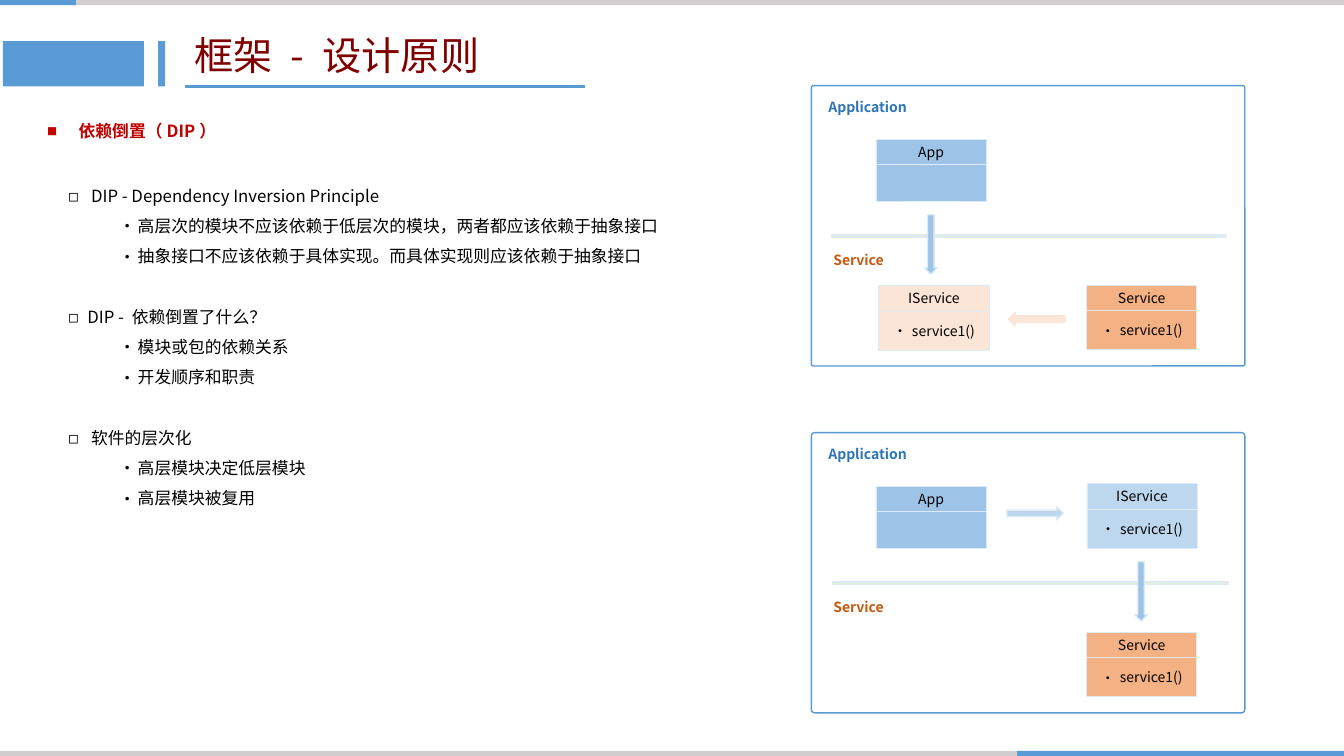
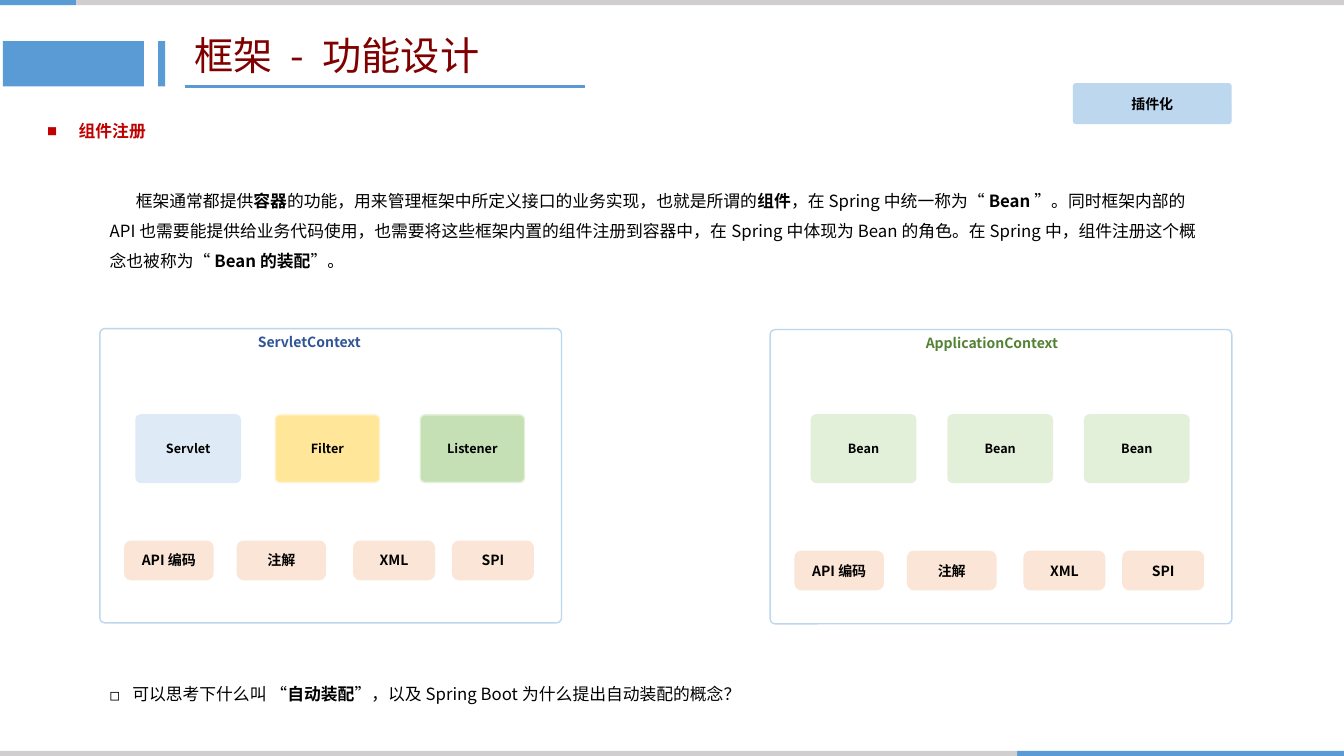
from lxml.etree import SubElement
from pptx import Presentation
from pptx.dml.color import RGBColor
from pptx.enum.shapes import MSO_CONNECTOR, MSO_SHAPE
from pptx.enum.text import MSO_ANCHOR, PP_ALIGN
from pptx.oxml.ns import qn
from pptx.util import Pt

FONT = "Noto Sans CJK SC"

BLACK = RGBColor(0x00, 0x00, 0x00)
WHITE = RGBColor(0xFF, 0xFF, 0xFF)
GREY = RGBColor(0xD0, 0xCE, 0xCE)
MAROON = RGBColor(0x80, 0x00, 0x00)
RED = RGBColor(0xC0, 0x00, 0x00)
BLUE = RGBColor(0x5B, 0x9B, 0xD5)
MID_BLUE = RGBColor(0x9D, 0xC3, 0xE6)
LIGHT_BLUE = RGBColor(0xBD, 0xD7, 0xEE)
PALE_BLUE = RGBColor(0xDE, 0xEB, 0xF7)
DEEP_BLUE = RGBColor(0x2E, 0x75, 0xB6)
NAVY = RGBColor(0x2F, 0x55, 0x97)
ORANGE = RGBColor(0xF4, 0xB1, 0x83)
PALE_ORANGE = RGBColor(0xFB, 0xE5, 0xD6)
DEEP_ORANGE = RGBColor(0xC5, 0x5A, 0x11)
YELLOW = RGBColor(0xFF, 0xE6, 0x99)
PALE_YELLOW = RGBColor(0xFF, 0xF2, 0xCC)
GREEN = RGBColor(0xC5, 0xE0, 0xB4)
PALE_GREEN = RGBColor(0xE2, 0xF0, 0xD9)
DEEP_GREEN = RGBColor(0x54, 0x82, 0x35)

# Bullet character: size in percent of the text
BULLET_SIZES = {"■": 60, "◻": 100, "•": 100}
LINE_SPACING = 1.5
BLANK_LINE = 21.6


# Text
def add_run(paragraph, text, size, color=BLACK, bold=False):
    run = paragraph.add_run()
    run.text = text
    run.font.size = Pt(size)
    run.font.bold = bold
    run.font.color.rgb = color
    run.font.name = FONT
    SubElement(run.font._element, qn("a:ea"), typeface=FONT)


def set_indent(paragraph, margin, first_line):
    properties = paragraph._p.get_or_add_pPr()
    properties.set("marL", str(Pt(margin)))
    properties.set("indent", str(Pt(first_line)))
    return properties


def set_bullet(paragraph, char, margin, hanging):
    properties = set_indent(paragraph, margin, -hanging)
    SubElement(properties, qn("a:buSzPct"), val=str(BULLET_SIZES[char] * 1000))
    SubElement(properties, qn("a:buFont"), typeface=FONT)
    SubElement(properties, qn("a:buChar"), char=char)


def add_text(slide, left, top, width, height):
    box = slide.shapes.add_textbox(Pt(left), Pt(top), Pt(width), Pt(height))
    box.text_frame.word_wrap = True
    return box.text_frame


def add_label(slide, text, left, top, width, color):
    frame = add_text(slide, left, top, width, 19.4)
    add_run(frame.paragraphs[0], text, 10, color, True)


def add_mixed_runs(paragraph, parts):
    """Every second part is bold."""
    for index, part in enumerate(parts):
        add_run(paragraph, part, 12, bold=index % 2 == 1)


# Shapes
def add_block(slide, preset, left, top, width, height, fill,
              line=None, line_width=1, corner=None):
    block = slide.shapes.add_shape(preset, Pt(left), Pt(top), Pt(width), Pt(height))
    block.shadow.inherit = False
    block.fill.solid()
    block.fill.fore_color.rgb = fill
    if line is None:
        block.line.fill.background()
    else:
        block.line.color.rgb = line
        block.line.width = Pt(line_width)
    if corner is not None:
        block.adjustments[0] = corner
    return block


def add_centred(block, text, size, bold=False):
    block.text_frame.vertical_anchor = MSO_ANCHOR.MIDDLE
    paragraph = block.text_frame.paragraphs[0]
    paragraph.alignment = PP_ALIGN.CENTER
    add_run(paragraph, text, size, bold=bold)
    return paragraph


def add_card(slide, text, left, top, width, height, fill, line, size=10, corner=0.07):
    card = add_block(slide, MSO_SHAPE.ROUNDED_RECTANGLE, left, top, width, height,
                     fill, line, corner=corner)
    add_centred(card, text, size, True)


# Bands, title and section heading of every slide
def add_frame(slide, title, heading):
    bands = [
        (726.5, 536.4, 233.5, 3.6, BLUE),
        (0, 536.4, 726.5, 3.6, GREY),
        (0, 0, 54.5, 3.6, BLUE),
        (54.5, 0, 905.5, 3.6, GREY),
        (113, 29.3, 5, 32.4, BLUE),
        (2, 29.3, 100.8, 32.4, BLUE),
    ]
    for *place, color in bands:
        add_block(slide, MSO_SHAPE.RECTANGLE, *place, color)

    title_frame = add_text(slide, 131.8, 20.2, 293, 41.8)
    title_frame.vertical_anchor = MSO_ANCHOR.MIDDLE
    title_frame.paragraphs[0].line_spacing = 0.9
    add_run(title_frame.paragraphs[0], title, 28, MAROON)

    underline = slide.shapes.add_connector(
        MSO_CONNECTOR.STRAIGHT, Pt(132), Pt(61.9), Pt(417.6), Pt(61.9))
    underline.line.color.rgb = BLUE
    underline.line.width = Pt(2.25)
    SubElement(underline._element.spPr, qn("a:effectLst"))

    paragraph = add_text(slide, 26.6, 75.6, 171.4, 28.8).paragraphs[0]
    paragraph.line_spacing = LINE_SPACING
    set_bullet(paragraph, "■", 22.5, 22.5)
    add_run(paragraph, heading, 12, RED, True)


def add_outline(slide, groups):
    frame = add_text(slide, 41.8, 121.7, 454.3, 247)
    paragraph = frame.paragraphs[0]
    for index, (topic, points) in enumerate(groups):
        if index:
            paragraph = frame.add_paragraph()
            paragraph.space_before = Pt(BLANK_LINE)
        paragraph.line_spacing = LINE_SPACING
        set_bullet(paragraph, "◻", 13.5, 13.5)
        add_run(paragraph, topic, 12)
        for point in points:
            paragraph = frame.add_paragraph()
            paragraph.level = 1
            paragraph.line_spacing = LINE_SPACING
            set_bullet(paragraph, "•", 49.5, 13.5)
            add_run(paragraph, point, 12)


# Class diagram
def add_class(slide, name, left, top, fill, method=None):
    head_height, body_height = 18.2, 28 if method else 26
    head = add_block(slide, MSO_SHAPE.RECTANGLE, left, top, 78.7, head_height,
                     fill, PALE_BLUE, 0.5)
    add_centred(head, name, 10)
    body = add_block(slide, MSO_SHAPE.RECTANGLE, left, top + head_height, 78.7,
                     body_height, fill, PALE_BLUE, 0.5)
    if method:
        set_bullet(add_centred(body, method, 10), "•", 13.5, 13.5)


def add_layers(slide, top, corner, divider_left):
    add_block(slide, MSO_SHAPE.ROUNDED_RECTANGLE, 579.6, top, 309.6, 200.2,
              WHITE, BLUE, corner=corner)
    add_block(slide, MSO_SHAPE.MATH_MINUS, divider_left, top + 104, 383.8, 7.2,
              PALE_GREEN, PALE_BLUE)
    add_label(slide, "Application", 584.6, top + 5.8, 102.2, DEEP_BLUE)
    add_label(slide, "Service", 588.2, top + 115.2, 102.2, DEEP_ORANGE)
    add_class(slide, "App", 625.7, top + 38.2, MID_BLUE)
    add_class(slide, "Service", 776.2, top + 142.5, ORANGE, "service1()")


def add_down_arrow(slide, left, top):
    add_block(slide, MSO_SHAPE.DOWN_ARROW, left, top, 9.4, 42.5, MID_BLUE, PALE_BLUE)


def build_principles(slide):
    add_frame(slide, "框架 - 设计原则", "依赖倒置（DIP）")
    add_outline(slide, [
        (" DIP - Dependency Inversion Principle",
         ["高层次的模块不应该依赖于低层次的模块，两者都应该依赖于抽象接口",
          "抽象接口不应该依赖于具体实现。而具体实现则应该依赖于抽象接口"]),
        ("DIP - 依赖倒置了什么？", ["模块或包的依赖关系", "开发顺序和职责"]),
        (" 软件的层次化", ["高层模块决定低层模块", "高层模块被复用"]),
    ])

    # Interface owned by the service layer
    top = 61.2
    add_layers(slide, top, 0.007, 542.9)
    add_class(slide, "IService", 627.8, top + 142.8, PALE_ORANGE, "service1()")
    add_block(slide, MSO_SHAPE.LEFT_ARROW, 720.4, top + 162, 40.3, 9.4,
              PALE_ORANGE, PALE_ORANGE)
    add_down_arrow(slide, 660.2, top + 92.2)

    # Interface owned by the application layer
    top = 309
    add_layers(slide, top, 0.012, 544.3)
    add_class(slide, "IService", 776.4, top + 36.4, LIGHT_BLUE, "service1()")
    add_block(slide, MSO_SHAPE.RIGHT_ARROW, 719.3, top + 53, 40.3, 9.4,
              LIGHT_BLUE, PALE_BLUE)
    add_down_arrow(slide, 810.4, top + 92.2)


# Containers with their components and ways of registering
def add_container(slide, left, top, title, title_left, color, components, ways_top):
    add_block(slide, MSO_SHAPE.ROUNDED_RECTANGLE, left, top, 329.8, 210.2,
              WHITE, LIGHT_BLUE, corner=0.017)
    add_label(slide, title, title_left, top, 125.3, color)
    for name, card_left, fill, line in components:
        add_card(slide, name, card_left, 296.4, 74.5, 48.2, fill, line, size=9)
    ways = [("API编码", 17.8, 63), ("注解", 98.2, 63), ("XML", 181.4, 57.6), ("SPI", 252, 57.6)]
    for way, offset, width in ways:
        add_card(slide, way, left + offset, ways_top, width, 27.4,
                 PALE_ORANGE, PALE_ORANGE, corner=0.167)


def build_registration(slide):
    add_frame(slide, "框架 - 功能设计", "组件注册")

    paragraph = add_text(slide, 71.3, 125.3, 792, 72.7).paragraphs[0]
    paragraph.line_spacing = LINE_SPACING
    set_indent(paragraph, 0, 18.7)
    add_mixed_runs(paragraph, [
        "框架通常都提供", "容器",
        "的功能，用来管理框架中所定义接口的业务实现，也就是所谓的", "组件",
        "，在Spring中统一称为“", "Bean",
        "”。同时框架内部的API也需要能提供给业务代码使用，也需要将这些框架内置的组件注册到容器中，"
        "在Spring中体现为Bean的角色。在Spring中，组件注册这个概念也被称为“",
        "Bean的装配", "”。",
    ])

    add_container(slide, 71.3, 234.7, "ServletContext", 177.1, NAVY, [
        ("Servlet", 97.2, PALE_BLUE, PALE_BLUE),
        ("Filter", 196.6, YELLOW, PALE_YELLOW),
        ("Listener", 300.2, GREEN, PALE_GREEN),
    ], 386.6)
    beans = [("Bean", 579.6 + 97.6 * i, PALE_GREEN, PALE_GREEN) for i in range(3)]
    add_container(slide, 550.1, 235.4, "ApplicationContext", 654.2, DEEP_GREEN, beans, 393.8)
    add_card(slide, "插件化", 766.8, 59.8, 112.5, 28.4, LIGHT_BLUE, LIGHT_BLUE)

    # Closing question
    paragraph = add_text(slide, 71.3, 478, 686.9, 28.8).paragraphs[0]
    paragraph.line_spacing = LINE_SPACING
    set_bullet(paragraph, "◻", 13.5, 13.5)
    add_mixed_runs(paragraph, [
        " 可以思考下什么叫 “", "自动装配", "”，以及Spring Boot为什么提出自动装配的概念？"])


def main():
    deck = Presentation()
    deck.slide_width, deck.slide_height = Pt(960), Pt(540)
    for build in (build_principles, build_registration):
        build(deck.slides.add_slide(deck.slide_layouts[6]))
    deck.save("out.pptx")


if __name__ == "__main__":
    main()
